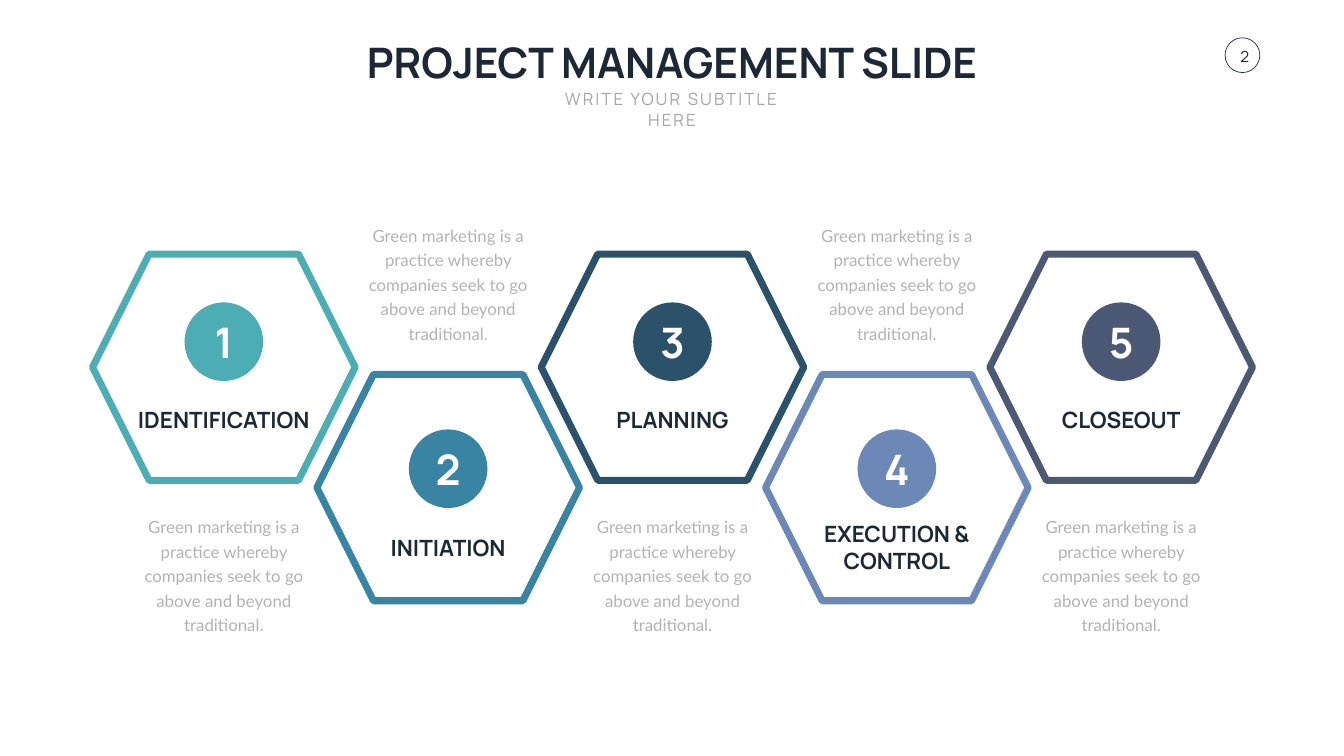
from dataclasses import dataclass

from pptx import Presentation
from pptx.dml.color import RGBColor
from pptx.enum.shapes import MSO_SHAPE
from pptx.enum.text import MSO_ANCHOR, MSO_AUTO_SIZE, PP_ALIGN
from pptx.util import Inches, Pt

ELLIPSE, HEXAGON = MSO_SHAPE.OVAL, MSO_SHAPE.HEXAGON
TOP, MIDDLE = MSO_ANCHOR.TOP, MSO_ANCHOR.MIDDLE
CENTER = PP_ALIGN.CENTER
GROW = MSO_AUTO_SIZE.SHAPE_TO_FIT_TEXT


@dataclass(frozen=True)
class Theme:
    ink: str = "1C2835"
    subtitle: str = "A6A6A6"
    body: str = "B3B3B3"
    white: str = "FFFFFF"
    steps: tuple = ("4DADB5", "3984A3", "2B526A", "6C88B7", "4C5974")
    heading_font: str = "Manrope"
    body_font: str = "Lato"
    display_size: int = 60
    label_size: int = 32
    text_size: int = 24
    page_size: int = 22


class SlideBuilder:
    def __init__(self, slide, theme):
        self.slide = slide
        self.theme = theme

    def shape(self, kind, left, top, width, height, fill=None, line=None, weight=1):
        shape = self.slide.shapes.add_shape(
            kind, Inches(left), Inches(top), Inches(width), Inches(height))
        shape.shadow.inherit = False
        if fill:
            shape.fill.solid()
            shape.fill.fore_color.rgb = RGBColor.from_string(fill)
        else:
            shape.fill.background()
        if line:
            shape.line.color.rgb = RGBColor.from_string(line)
            shape.line.width = Pt(weight)
        else:
            shape.line.fill.background()
        return shape

    def text(self, words, center, top, width, height, size, color, bold=False,
             font=None, anchor=TOP, wrap=False, leading=None, tracking=None):
        box = self.slide.shapes.add_textbox(
            Inches(center - width / 2), Inches(top), Inches(width), Inches(height))
        frame = box.text_frame
        frame_format = {"word_wrap": wrap, "auto_size": GROW, "vertical_anchor": anchor}
        for name, value in frame_format.items():
            setattr(frame, name, value)
        frame.text = words
        font_format = {"name": font or self.theme.heading_font,
                       "size": Pt(size), "bold": bold}
        for paragraph in frame.paragraphs:
            paragraph.alignment = CENTER
            if leading:
                paragraph.line_spacing = Pt(leading)
            for run in paragraph.runs:
                for name, value in font_format.items():
                    setattr(run.font, name, value)
                run.font.color.rgb = RGBColor.from_string(color)
                if tracking:
                    run.font._element.set("spc", str(tracking * 100))
        return box

    def page_number(self, number):
        theme = self.theme
        self.shape(ELLIPSE, 24.3, 0.75, 0.69, 0.69, line=theme.ink)
        numeral = self.text(number, 24.69, 0.79, 0.66, 0.66, theme.page_size,
                            theme.ink, anchor=MIDDLE, wrap=True)
        frame = numeral.text_frame
        frame.auto_size = MSO_AUTO_SIZE.NONE
        for side in ("left", "top", "right", "bottom"):
            setattr(frame, f"margin_{side}", 0)

    def step(self, number, label, label_width, color, center, level):
        theme = self.theme
        self.shape(HEXAGON, center - HEX_WIDTH / 2, level["hexagon"],
                   HEX_WIDTH, HEX_HEIGHT, theme.white, color, 10)
        self.shape(ELLIPSE, center - BADGE / 2, level["badge"], BADGE, BADGE, color)
        self.text(str(number), center, level["badge"] + 0.22, 0.7, 1.11,
                  theme.display_size, theme.white, bold=True, anchor=MIDDLE)
        label_height = 0.64 + 0.54 * label.count("\n")
        self.text(label, center, level["label"] - label_height / 2, label_width,
                  label_height, theme.label_size, theme.ink, bold=True, anchor=MIDDLE)
        self.text(DESCRIPTION, center, level["description"], 3.78, 2.5,
                  theme.text_size, theme.body, font=theme.body_font,
                  wrap=True, leading=35)


HEX_WIDTH, HEX_HEIGHT, BADGE = 5.21, 4.49, 1.56
FIRST_CENTER, STEP_PITCH = 4.44, 4.45
UPPER = {"hexagon": 5.04, "badge": 6, "label": 8.33, "description": 10.12}
LOWER = {"hexagon": 7.43, "badge": 8.52, "label": 10.86, "description": 4.34}
DESCRIPTION = ("Green marketing is a practice whereby companies seek to go "
               "above and beyond traditional.")
STEPS = [("IDENTIFICATION", 3.78), ("INITIATION", 2.62), ("PLANNING", 2.52),
         ("EXECUTION &\nCONTROL", 3.2), ("CLOSEOUT", 2.56)]


def main():
    theme = Theme()
    presentation = Presentation()
    presentation.slide_width = Inches(26.66)
    presentation.slide_height = Inches(15)
    slide = presentation.slides.add_slide(presentation.slide_layouts[6])
    builder = SlideBuilder(slide, theme)

    builder.page_number("2")
    builder.text("PROJECT MANAGEMENT SLIDE", 13.33, 0.67, 12.72, 1.11,
                 theme.display_size, theme.ink, bold=True)
    builder.text("WRITE YOUR SUBTITLE HERE", 13.33, 1.72, 5.43, 0.5,
                 theme.text_size, theme.subtitle, wrap=True, tracking=3)

    for index, ((label, label_width), color) in enumerate(zip(STEPS, theme.steps)):
        builder.step(index + 1, label, label_width, color,
                     FIRST_CENTER + index * STEP_PITCH, LOWER if index % 2 else UPPER)

    presentation.save("out.pptx")


if __name__ == "__main__":
    main()
